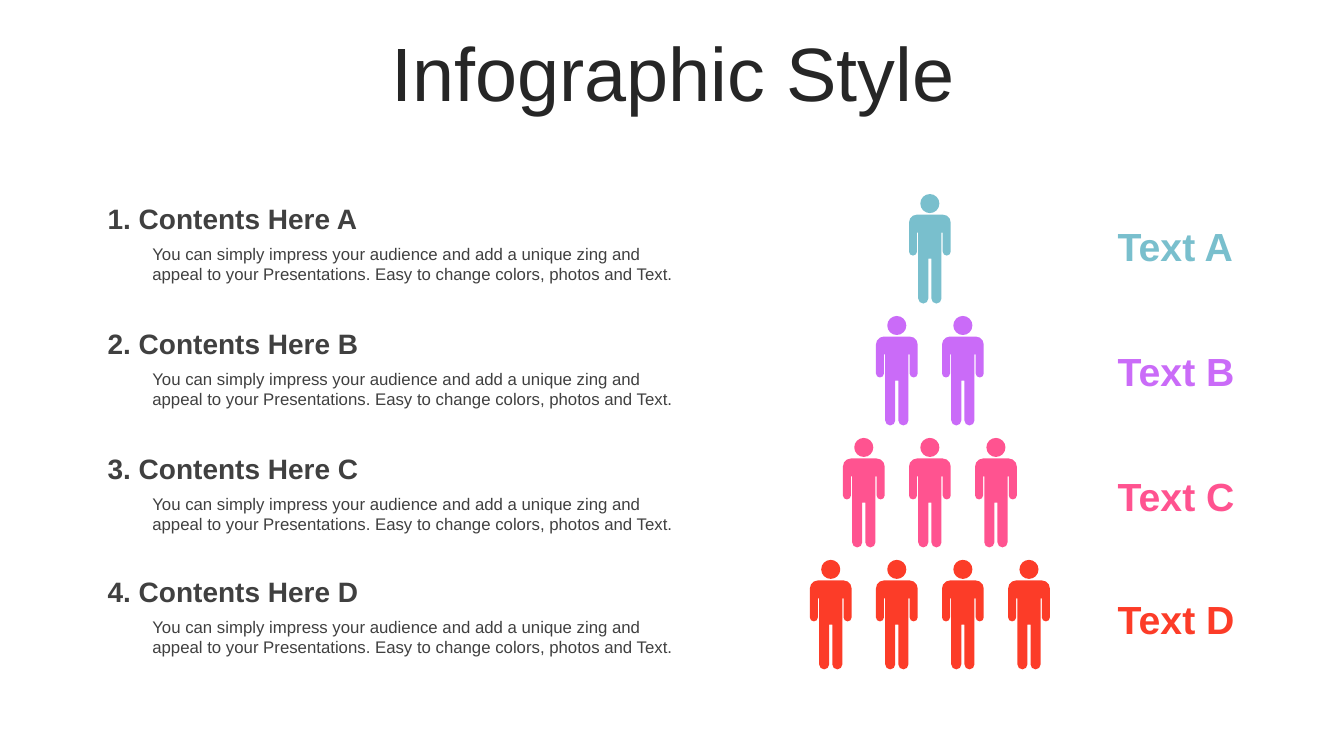
import math

import pptx
import pptx.dml.color
import pptx.enum.text
import pptx.util

TITLE = "Infographic Style"
DETAIL = ("You can simply impress your audience and add a unique zing and "
          "appeal to your Presentations. Easy to change colors, photos and Text.")
# heading, label, colour, top of the text row
LEVELS = [
    ("1. Contents Here A", "Text A", "79BFCD", 140.4),
    ("2. Contents Here B", "Text B", "CA6BF8", 229.7),
    ("3. Contents Here C", "Text C", "FF5390", 318.8),
    ("4. Contents Here D", "Text D", "FC3C28", 406.8),
]
FONT = "Arial"
TITLE_COLOUR = "262626"
TEXT_COLOUR = "404040"

DETAIL_OFFSET = 30.1
LABEL_OFFSET = 15.1
PYRAMID_CENTRE = 664.2
PYRAMID_TOP = 138.7
PERSON_PITCH = 47.2
PERSON_ROW_PITCH = 87.1

Pt = pptx.util.Pt


def colour(hex_text):
    return pptx.dml.color.RGBColor.from_string(hex_text)


def arc(centre_x, centre_y, radius, start, end, steps):
    """Points of a circular arc, angles in degrees, clockwise from the right."""
    angles = [math.radians(start + (end - start) * step / steps)
              for step in range(steps + 1)]
    return [(centre_x + radius * math.cos(angle),
             centre_y + radius * math.sin(angle)) for angle in angles]


def person_contours():
    """Body and head around x = 0, with the top of the head at y = 0."""
    right_half = (
        arc(9.2, 20.3, 5.7, -90, 0, 3)       # shoulder
        + arc(12.05, 41, 2.85, 0, 180, 4)    # hand
        + [(9.2, 27.4), (8.3, 27.4)]         # armpit
        + arc(4.7, 74.5, 3.6, 0, 180, 4)     # foot
        + [(1.1, 46.1)]                      # crotch
    )
    left_half = [(-x, y) for x, y in reversed(right_half)]
    head = arc(0, 6.7, 6.8, 0, 360, 16)[:-1]
    return [right_half + left_half, head]


def add_person(slide, centre, top, fill):
    body, head = [[(Pt(centre + x), Pt(top + y)) for x, y in contour]
                  for contour in person_contours()]
    builder = slide.shapes.build_freeform(*body[0], scale=1.0)
    builder.add_line_segments(body[1:], close=True)
    builder.move_to(*head[0])
    builder.add_line_segments(head[1:], close=True)
    shape = builder.convert_to_shape()
    shape.shadow.inherit = False
    shape.fill.solid()
    shape.fill.fore_color.rgb = colour(fill)
    shape.line.fill.background()


def add_text(slide, text, box, size, text_colour, bold=False, side_inset=7.2):
    shape = slide.shapes.add_textbox(*[Pt(length) for length in box])
    frame = shape.text_frame
    frame.word_wrap = True
    frame.auto_size = pptx.enum.text.MSO_AUTO_SIZE.SHAPE_TO_FIT_TEXT
    frame.margin_left = frame.margin_right = Pt(side_inset)
    run = frame.paragraphs[0].add_run()
    run.text = text
    run.font.name = FONT
    run.font.size = Pt(size)
    run.font.bold = bold
    run.font.color.rgb = colour(text_colour)
    return frame


def add_title(slide):
    frame = add_text(slide, TITLE, (25.2, 26.6, 911.5, 56.9), 54, TITLE_COLOUR)
    frame.auto_size = pptx.enum.text.MSO_AUTO_SIZE.NONE
    frame.vertical_anchor = pptx.enum.text.MSO_ANCHOR.MIDDLE
    paragraph = frame.paragraphs[0]
    paragraph.alignment = pptx.enum.text.PP_ALIGN.CENTER
    paragraph.line_spacing = 0.9


def main():
    presentation = pptx.Presentation()
    presentation.slide_width = Pt(960)
    presentation.slide_height = Pt(540)
    slide = presentation.slides.add_slide(presentation.slide_layouts[6])

    add_title(slide)
    for row, (heading, label, level_colour, top) in enumerate(LEVELS):
        for column in range(row + 1):
            add_person(slide,
                       PYRAMID_CENTRE + (column - row / 2) * PERSON_PITCH,
                       PYRAMID_TOP + row * PERSON_ROW_PITCH, level_colour)
        add_text(slide, DETAIL, (103, top + DETAIL_OFFSET, 394, 36),
                 12, TEXT_COLOUR, side_inset=5.8)
        add_text(slide, heading, (69.8, top, 427, 31.5), 20, TEXT_COLOUR, bold=True)
        add_text(slide, label, (791.3, top + LABEL_OFFSET, 103, 41.2),
                 28, level_colour, bold=True)

    presentation.save("out.pptx")


if __name__ == "__main__":
    main()
